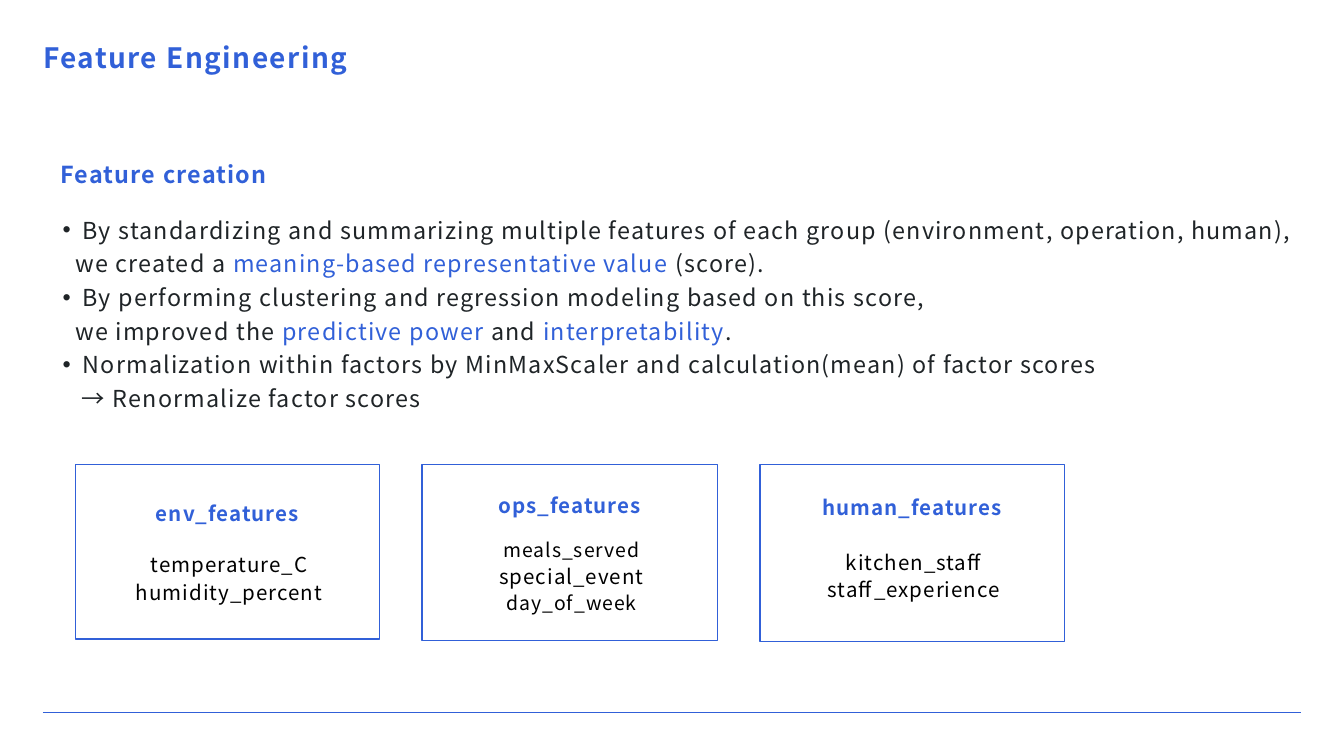
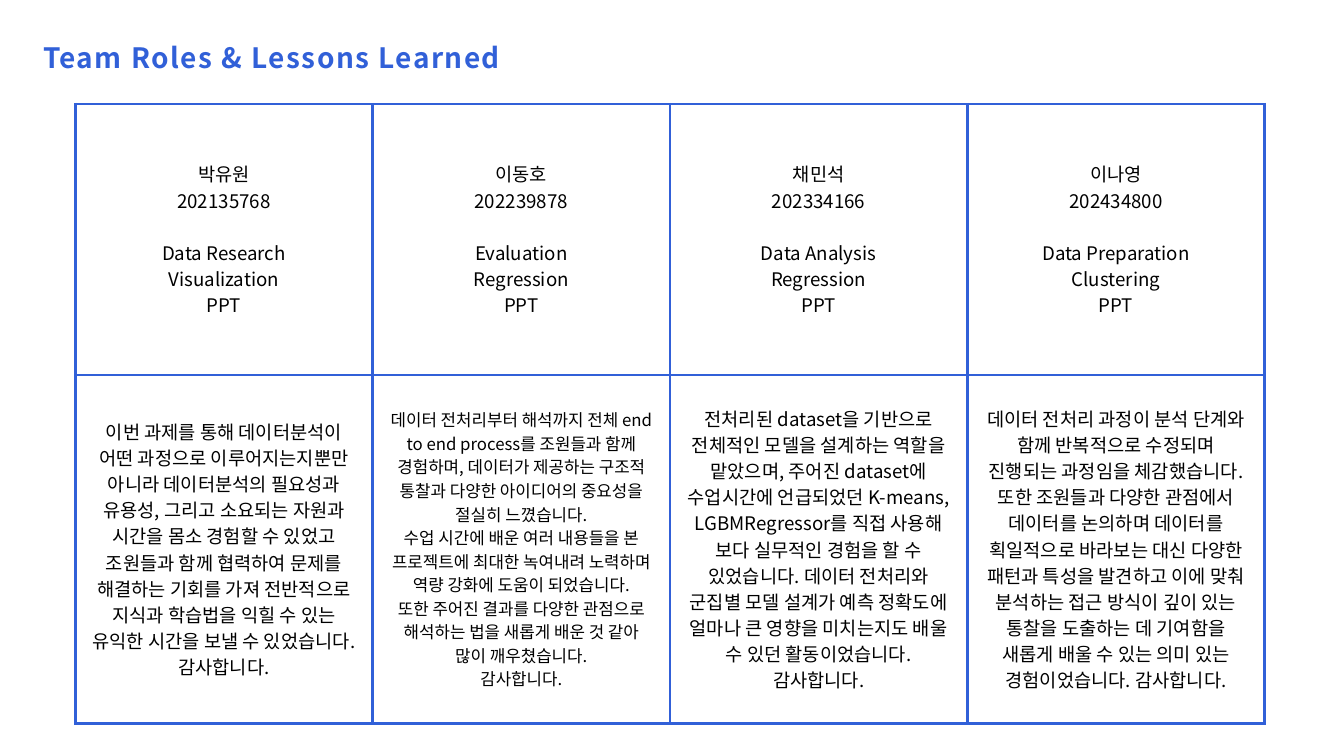
from dataclasses import dataclass

from pptx import Presentation
from pptx.dml.color import RGBColor
from pptx.enum.shapes import MSO_CONNECTOR, MSO_SHAPE
from pptx.enum.text import MSO_ANCHOR, MSO_AUTO_SIZE, PP_ALIGN
from pptx.oxml.xmlchemy import OxmlElement
from pptx.presentation import Presentation as Deck
from pptx.slide import Slide
from pptx.table import _Cell
from pptx.text.text import TextFrame
from pptx.util import Inches, Pt


@dataclass(frozen=True)
class Theme:
    font: str = "Noto Sans CJK SC"
    accent: str = "3160D8"
    ink: str = "1F2427"
    black: str = "000000"
    title: float = 30
    body: float = 25
    card: float = 22
    card_small: float = 20.8
    table: float = 20
    table_small: float = 18
    rule: float = 1.5
    border: float = 3


THEME = Theme()


@dataclass(frozen=True)
class BodyLine:
    text: str
    margin: float = 0.59
    bullet: bool = False


@dataclass(frozen=True)
class FeatureCard:
    heading: str
    features: tuple[tuple[str, float], ...]
    width: float
    height: float
    heading_top: float
    features_top: float


@dataclass(frozen=True)
class Member:
    name: str
    number: str
    roles: tuple[str, ...]
    lessons: tuple[str, ...]
    lesson_size: float = THEME.table


BODY_LINES = (
    BodyLine("By standardizing and summarizing multiple features of each group "
             "(environment, operation, human),", bullet=True),
    BodyLine("we created a *meaning-based representative value* (score).", 0.48),
    BodyLine("By performing clustering and regression modeling based on this score,", bullet=True),
    BodyLine("we improved the *predictive power* and *interpretability*.", 0.48),
    BodyLine("Normalization within factors by MinMaxScaler and calculation(mean) of factor scores",
             bullet=True),
    BodyLine("→ Renormalize factor scores", 0.58),
)

CARDS = (
    FeatureCard("env_features",
                (("temperature_C", THEME.card), ("humidity_percent", THEME.card)),
                4.53, 2.6, 7.49, 8.18),
    FeatureCard("ops_features",
                (("meals_served", THEME.card_small), ("special_event", THEME.card),
                 ("day_of_week", THEME.card_small)),
                4.4, 2.62, 7.37, 7.97),
    FeatureCard("human_features",
                (("kitchen_staff", THEME.card), ("staff_experience", THEME.card)),
                4.53, 2.64, 7.4, 8.14),
)

MEMBERS = (
    Member("박유원", "202135768", ("Data Research", "Visualization", "PPT"), (
        "이번 과제를 통해 데이터분석이 어떤 과정으로 이루어지는지뿐만 아니라 데이터분석의 필요성과 "
        "유용성, 그리고 소요되는 자원과 시간을 몸소 경험할 수 있었고 조원들과 함께 협력하여 문제를 "
        "해결하는 기회를 가져 전반적으로 지식과 학습법을 익힐 수 있는 유익한 시간을 보낼 수 "
        "있었습니다. 감사합니다.",)),
    Member("이동호", "202239878", ("Evaluation", "Regression", "PPT"), (
        "데이터 전처리부터 해석까지 전체 end to end process를 조원들과 함께 경험하며, "
        "데이터가 제공하는 구조적",
        "통찰과 다양한 아이디어의 중요성을",
        "절실히 느꼈습니다.",
        "수업 시간에 배운 여러 내용들을 본 프로젝트에 최대한 녹여내려 노력하며 "
        "역량 강화에 도움이 되었습니다.",
        "또한 주어진 결과를 다양한 관점으로 해석하는 법을 새롭게 배운 것 같아",
        "많이 깨우쳤습니다.",
        "감사합니다."), THEME.table_small),
    Member("채민석", "202334166", ("Data Analysis", "Regression", "PPT"), (
        "전처리된 dataset을 기반으로 전체적인 모델을 설계하는 역할을 맡았으며, 주어진 dataset에 "
        "수업시간에 언급되었던 K-means, LGBMRegressor를 직접 사용해 보다 실무적인 경험을 할 수 "
        "있었습니다. 데이터 전처리와 군집별 모델 설계가 예측 정확도에 얼마나 큰 영향을 미치는지도 "
        "배울 수 있던 활동이었습니다. 감사합니다.",)),
    Member("이나영", "202434800", ("Data Preparation", "Clustering", "PPT"), (
        "데이터 전처리 과정이 분석 단계와 함께 반복적으로 수정되며 진행되는 과정임을 체감했습니다. "
        "또한 조원들과 다양한 관점에서 데이터를 논의하며 데이터를 획일적으로 바라보는 대신 다양한 "
        "패턴과 특성을 발견하고 이에 맞춰 분석하는 접근 방식이 깊이 있는 통찰을 도출하는 데 기여함을 "
        "새롭게 배울 수 있는 의미 있는 경험이었습니다. 감사합니다.",)),
)


def write(frame: TextFrame, text: str, *, size: float, leading: float,
          color: str = THEME.black, bold: bool = False, tracking: float = 0,
          align: PP_ALIGN = PP_ALIGN.LEFT, before: float = 0,
          bullet: bool = False, margin: float = 0) -> None:
    para = frame.add_paragraph() if frame.text else frame.paragraphs[0]
    properties = para._p.get_or_add_pPr()
    properties.set("marL", str(Inches(margin)))
    properties.set("indent", str(Inches(-0.3 if bullet else 0)))
    mark = OxmlElement("a:buChar" if bullet else "a:buNone")
    if bullet:
        mark.set("char", "•")
    properties.append(mark)
    para.alignment = align
    para.line_spacing = Pt(leading)
    para.space_before = Pt(before)
    para.space_after = Pt(0)
    for index, part in enumerate(text.split("*")):
        if not part:
            continue
        span = para.add_run()
        span.text = part
        span.font.size = Pt(size)
        span.font.bold = bold
        span.font.name = THEME.font
        span.font.color.rgb = RGBColor.from_string(THEME.accent if index % 2 else color)
        run_properties = span._r.get_or_add_rPr()
        run_properties.set("spc", str(round(tracking * 100)))
        east_asian = OxmlElement("a:ea")
        east_asian.set("typeface", THEME.font)
        run_properties.append(east_asian)


def place(box, left: float, top: float, width: float, height: float) -> TextFrame:
    box.left, box.top = Inches(left), Inches(top)
    box.width, box.height = Inches(width), Inches(height)
    frame = box.text_frame
    frame.word_wrap = True
    frame.auto_size = MSO_AUTO_SIZE.SHAPE_TO_FIT_TEXT
    frame.vertical_anchor = MSO_ANCHOR.TOP
    frame.margin_left = frame.margin_right = frame.margin_top = frame.margin_bottom = 0
    return frame


def add_text_box(page: Slide, left: float, top: float, width: float, height: float) -> TextFrame:
    return place(page.shapes.add_textbox(0, 0, 0, 0), left, top, width, height)


def add_page(deck: Deck, layout: str, title: str, title_width: float) -> Slide:
    page = deck.slides.add_slide(deck.slide_layouts.get_by_name(layout))
    frame = place(page.shapes.title, 0.64, 0.65, title_width, 0.48)
    write(frame, title, size=THEME.title, leading=33, color=THEME.accent, bold=True, tracking=1.6)
    return page


def add_rule(page: Slide, left: float, right: float, top: float) -> None:
    rule = page.shapes.add_connector(MSO_CONNECTOR.STRAIGHT, Inches(left), Inches(top),
                                     Inches(right), Inches(top))
    rule.line.color.rgb = RGBColor.from_string(THEME.accent)
    rule.line.width = Pt(THEME.rule)
    rule._element.spPr.append(OxmlElement("a:effectLst"))


def add_card(page: Slide, card: FeatureCard, left: float) -> None:
    outline = page.shapes.add_shape(MSO_SHAPE.RECTANGLE, Inches(left), Inches(6.91),
                                    Inches(card.width), Inches(card.height))
    outline.shadow.inherit = False
    outline.fill.background()
    outline.line.color.rgb = RGBColor.from_string(THEME.accent)
    outline.line.width = Pt(THEME.rule)

    text_width = card.width * 0.72
    text_left = left + (card.width - text_width) / 2
    heading = add_text_box(page, text_left, card.heading_top, text_width, 0.35)
    write(heading, card.heading, size=THEME.card, leading=24.2, color=THEME.accent, bold=True,
          tracking=1.1, align=PP_ALIGN.CENTER)
    features = add_text_box(page, text_left, card.features_top, text_width + 0.05,
                            0.4 * len(card.features))
    for name, size in card.features:
        write(features, name, size=size, leading=round(size * 1.33, 1), tracking=1.1,
              align=PP_ALIGN.CENTER)


def format_cell(cell: _Cell) -> TextFrame:
    properties = cell._tc.get_or_add_tcPr()
    for side in ("L", "R", "T", "B"):
        border = OxmlElement(f"a:ln{side}")
        border.set("w", str(Pt(THEME.border)))
        fill = OxmlElement("a:solidFill")
        color = OxmlElement("a:srgbClr")
        color.set("val", THEME.accent)
        fill.append(color)
        border.append(fill)
        properties.append(border)
    cell.fill.background()
    cell.vertical_anchor = MSO_ANCHOR.MIDDLE
    cell.margin_left = cell.margin_right = cell.margin_top = cell.margin_bottom = Inches(0.21)
    return cell.text_frame


def build_features_page(deck: Deck) -> None:
    page = add_page(deck, "Title and Content", "Feature Engineering", 4.6)
    add_rule(page, 0.64, 19.36, 10.6)
    subtitle = add_text_box(page, 0.9, 2.42, 3.26, 0.39)
    write(subtitle, "Feature creation", size=THEME.body, leading=27.5, color=THEME.accent,
          bold=True, tracking=1.3)
    body = place(page.placeholders[1], 0.64, 3.13, 18.77, 2.92)
    for line in BODY_LINES:
        write(body, line.text, size=THEME.body, leading=36, color=THEME.ink, tracking=1.3,
              bullet=line.bullet, margin=line.margin)
    left = 1.12
    for card in CARDS:
        add_card(page, card, left)
        left += card.width + 0.63


def build_team_page(deck: Deck) -> None:
    page = add_page(deck, "Title Only", "Team Roles & Lessons Learned", 6.97)
    table = page.shapes.add_table(2, len(MEMBERS), Inches(1.12), Inches(1.55),
                                  Inches(17.7), Inches(9.22)).table
    table.first_row = table.horz_banding = False
    for row, height in zip(table.rows, (4.03, 5.19)):
        row.height = Inches(height)
    for column, member in enumerate(MEMBERS):
        profile = format_cell(table.cell(0, column))
        for index, text in enumerate((member.name, member.number, *member.roles)):
            write(profile, text, size=THEME.table, leading=28, align=PP_ALIGN.CENTER,
                  before=28 if index == 2 else 0)
        lessons = format_cell(table.cell(1, column))
        for text in member.lessons:
            write(lessons, text, size=member.lesson_size, leading=member.lesson_size * 1.4,
                  align=PP_ALIGN.CENTER)


def main() -> None:
    deck = Presentation()
    deck.slide_width, deck.slide_height = Inches(20), Inches(11.25)
    build_features_page(deck)
    build_team_page(deck)
    deck.save("out.pptx")


if __name__ == "__main__":
    main()
